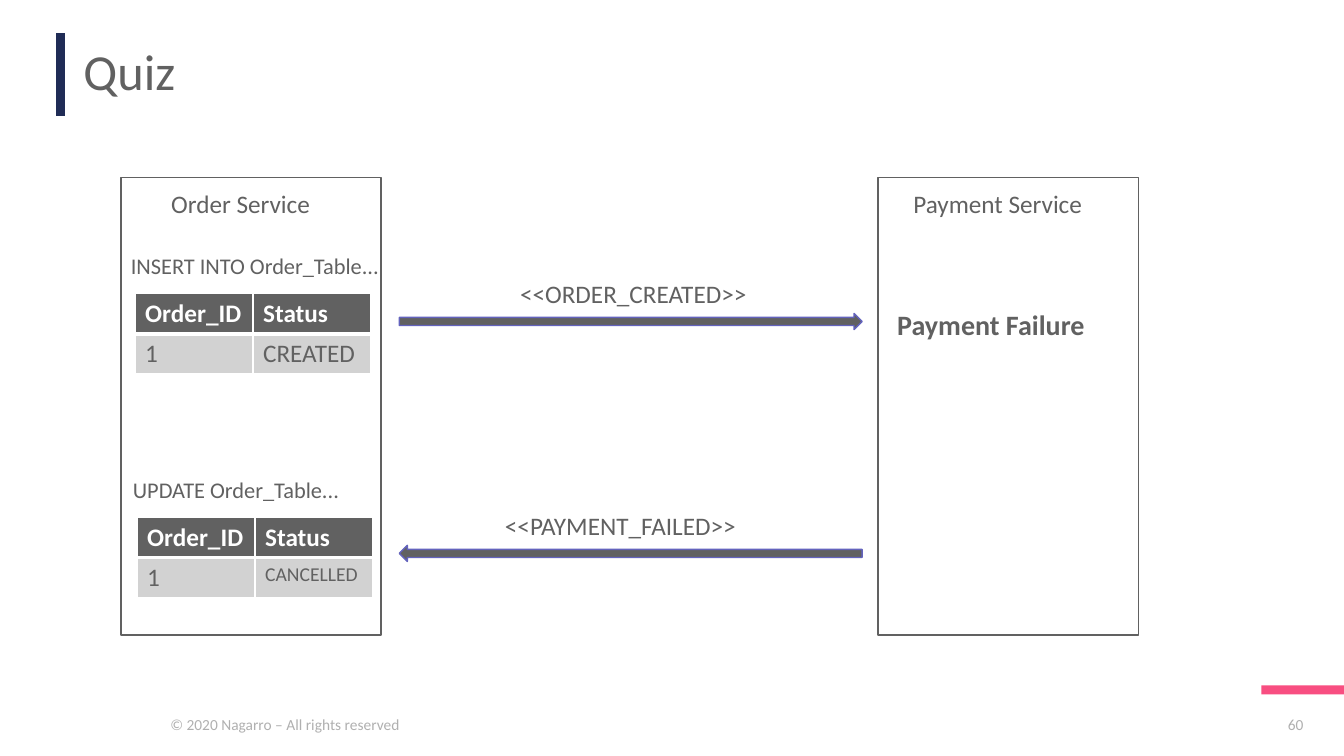
from lxml.etree import SubElement
from pptx import Presentation
from pptx.dml.color import RGBColor
from pptx.enum.shapes import MSO_CONNECTOR, MSO_SHAPE
from pptx.enum.text import PP_ALIGN
from pptx.oxml.ns import qn
from pptx.util import Pt

PX = 9144  # EMU per px, 100 px to the inch
COLORS = {
    "white": "FFFFFF",
    "text": "616161",
    "cell": "D2D2D2",
    "footer": "B0B0B0",
    "navy": "202C56",
    "pink": "F84E81",
    "arrow_line": "6363BD",
}


def rgb(name):
    return RGBColor.from_string(COLORS[name])


def px(*lengths):
    return [n * PX for n in lengths]


def write(tf, text, size, color="text", bold=False, align=PP_ALIGN.LEFT):
    p = tf.paragraphs[0]
    p.alignment = align
    r = p.add_run()
    r.text = text
    for key, value in {"name": "Calibri", "size": Pt(size), "bold": bold}.items():
        setattr(r.font, key, value)
    r.font.color.rgb = rgb(color)
    return p


def add_text(s, box, text, size, wrap=True, **fmt):
    tf = s.shapes.add_textbox(*px(*box)).text_frame
    tf.word_wrap = wrap
    return write(tf, text, size, **fmt)


def add_block(s, kind, box, fill, line=None, rotation=0):
    sp = s.shapes.add_shape(kind, *px(*box))
    sp.shadow.inherit = False
    sp.rotation = rotation
    sp.fill.solid()
    sp.fill.fore_color.rgb = rgb(fill)
    if line:
        sp.line.color.rgb = rgb(line)
        sp.line.width = Pt(1)
    else:
        sp.line.fill.background()


def add_bar(s, x, top, bottom, color, width):
    line = s.shapes.add_connector(MSO_CONNECTOR.STRAIGHT, *px(x, top, x, bottom))
    line.line.color.rgb = rgb(color)
    line.line.width = Pt(width)
    SubElement(line._element.spPr, qn("a:effectLst"))


def set_borders(cell, widths):
    tcPr = cell._tc.get_or_add_tcPr()
    for side, width in widths.items():
        ln = SubElement(tcPr, qn(f"a:ln{side}"), w=str(Pt(width)))
        fill = SubElement(ln, qn("a:solidFill"))
        SubElement(fill, qn("a:srgbClr"), val=COLORS["white"])


def add_order_table(s, left, top, status, status_size):
    col, row = 117, 40
    table = s.shapes.add_table(2, 2, *px(left, top, 2 * col, 2 * row)).table
    for i in range(2):
        table.columns[i].width = col * PX
        table.rows[i].height = row * PX
    rows = [
        ("text", {"L": 1, "R": 1, "T": 1, "B": 3}, {"color": "white", "bold": True},
         [("Order_ID", 18), ("Status", 18)]),
        ("cell", {"L": 1, "R": 1, "T": 3, "B": 1}, {},
         [("1", 18), (status, status_size)]),
    ]
    for r, (fill, borders, fmt, texts) in enumerate(rows):
        for c, (text, size) in enumerate(texts):
            cell = table.cell(r, c)
            set_borders(cell, borders)
            cell.fill.solid()
            cell.fill.fore_color.rgb = rgb(fill)
            write(cell.text_frame, text, size, **fmt)


def main():
    prs = Presentation()
    prs.slide_width, prs.slide_height = px(1333, 750)
    s = prs.slides.add_slide(prs.slide_layouts[6])

    # Footer and title
    add_block(s, MSO_SHAPE.RECTANGLE, (1251, 680, 82, 9), "pink")
    add_text(s, (159, 704, 248, 29), "© 2020 Nagarro – All rights reserved", 11,
             wrap=False, color="footer")
    add_text(s, (1252, 704, 66, 29), "60", 11, color="footer", align=PP_ALIGN.CENTER)
    add_bar(s, 60, 33, 115, "navy", 6)
    add_text(s, (73, 42, 1136, 65), "Quiz", 36).line_spacing = 0.9

    # Service boxes
    for left, name, name_left, name_width in [
        (120, "Order Service", 160, 167),
        (871, "Payment Service", 896, 195),
    ]:
        add_block(s, MSO_SHAPE.RECTANGLE, (left, 176, 258, 454), "white", "text")
        add_text(s, (name_left, 182, name_width, 40), name, 18)
    add_text(s, (880, 300, 255, 44), "Payment Failure", 20, bold=True)

    # Order table before and after the failure
    for left, top, query, status, size in [
        (120, 245, "INSERT INTO Order_Table...", "CREATED", 18),
        (122, 467, "UPDATE Order_Table...", "CANCELLED", 14),
    ]:
        add_text(s, (left, top, 300, 37), query, 16)
        add_order_table(s, left + 14, top + 46, status, size)

    # Events between the services
    for left, top, event, rotation in [
        (506, 271, "<<ORDER_CREATED>>", 0),
        (491, 501, "<<PAYMENT_FAILED>>", 180),
    ]:
        add_block(s, MSO_SHAPE.RIGHT_ARROW, (396, top + 40, 459, 16),
                  "text", "arrow_line", rotation)
        add_text(s, (left, top, 270, 40), event, 18)

    prs.save("out.pptx")


if __name__ == "__main__":
    main()
